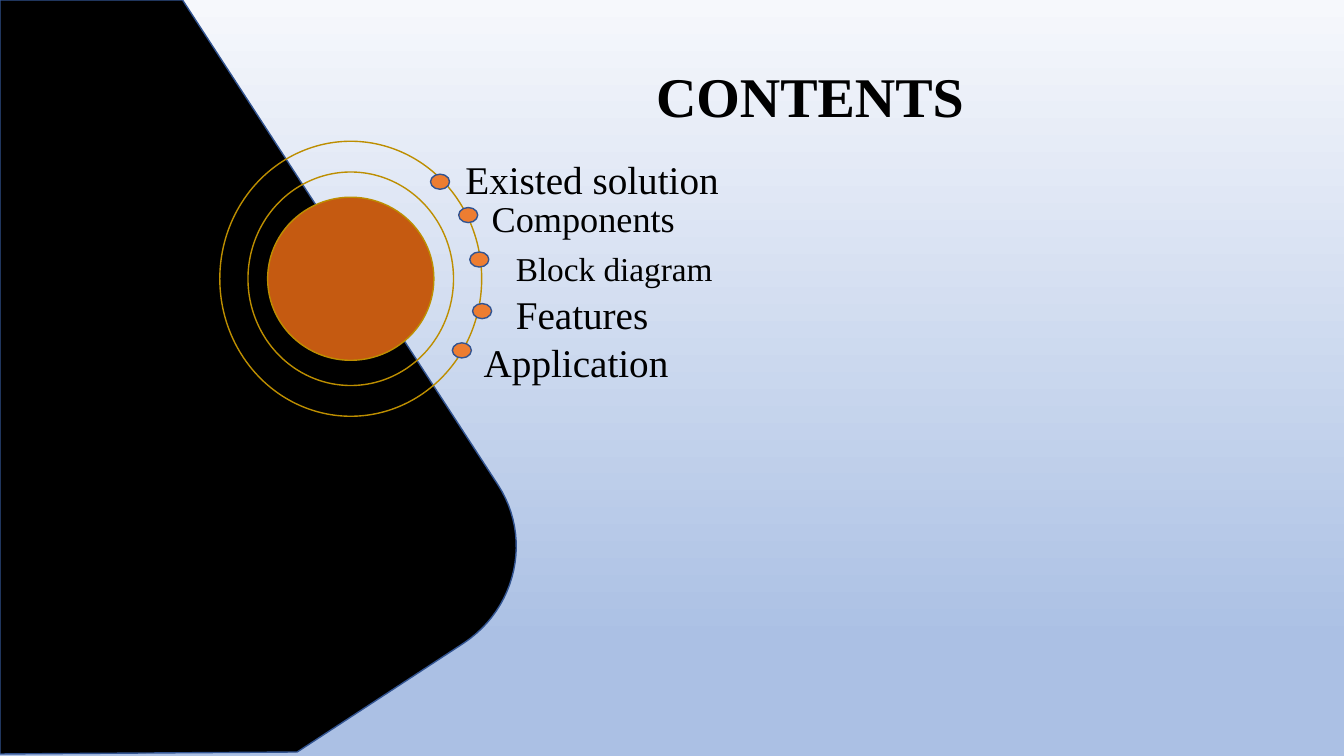
from pptx import Presentation
from pptx.dml.color import RGBColor
from pptx.enum.shapes import MSO_SHAPE
from pptx.enum.text import MSO_ANCHOR, PP_ALIGN
from pptx.util import Cm, Pt

FONT = "Times New Roman"
COLORS = {
    "sky_top": "F6F8FC",
    "sky_bottom": "ABC0E4",
    "ink": "000000",
    "core": "C55A11",
    "ring": "BD8E00",
    "dot": "ED7D31",
    "edge": "325491",
}
RINGS = [(4.19, 4.11, "core"), (5.18, 5.38, None), (6.6, 6.93, None)]
DOT_WIDTH, DOT_HEIGHT = 0.48, 0.38
LABEL_HEIGHT = 1.22
TOPICS = [
    ("Existed solution", 28, (5.31, 0.83), (5.94, 0.95), 7.06),
    ("Components", 25.9, (6.02, 1.67), (6.6, 1.93), 7.06),
    ("Block diagram", 23.8, (6.3, 2.79), (7.21, 3.19), 7.52),
    ("Features", 28, (6.37, 4.09), (7.21, 4.35), 7.06),
    ("Application", 28, (5.86, 5.08), (6.4, 5.56), 5.87),
]
PANEL_EDGE = [(0, 0), (0, 19), (7.49, 18.95)]
PANEL_CURVE = [(11.68, 16.21), (13.03, 15.32), (13.41, 13.54), (12.55, 12.22)]
PANEL_START = (4.6, 0)
CURVE_STEPS = 24


def rgb(name):
    return RGBColor.from_string(COLORS[name])


def paint(shape, fill, line):
    shape.shadow.inherit = False
    if fill:
        shape.fill.solid()
        shape.fill.fore_color.rgb = rgb(fill)
    else:
        shape.fill.background()
    shape.line.color.rgb = rgb(line)
    shape.line.width = Pt(1)


def write(frame, text, size, bold=False):
    frame.word_wrap = True
    frame.vertical_anchor = MSO_ANCHOR.MIDDLE
    frame.text = text
    paragraph = frame.paragraphs[0]
    paragraph.alignment = PP_ALIGN.LEFT
    font = paragraph.runs[0].font
    font.name, font.size, font.bold = FONT, Pt(size), bold
    font.color.rgb = rgb("ink")


def add_circle(slide, left, top, width, height, fill, line):
    circle = slide.shapes.add_shape(
        MSO_SHAPE.FLOWCHART_CONNECTOR, Cm(left), Cm(top), Cm(width), Cm(height))
    paint(circle, fill, line)


def bezier(controls, t):
    weights = ((1 - t) ** 3, 3 * t * (1 - t) ** 2, 3 * t ** 2 * (1 - t), t ** 3)
    return tuple(sum(w * c[axis] for w, c in zip(weights, controls)) for axis in (0, 1))


def add_background(slide):
    fill = slide.background.fill
    fill.gradient()
    fill.gradient_angle = 270
    for stop, (name, position) in zip(
            fill.gradient_stops, [("sky_top", 0), ("sky_bottom", 0.85)]):
        stop.color.rgb = rgb(name)
        stop.position = position


def add_panel(slide, left, top):
    def place(point):
        return Cm(left + point[0]), Cm(top + point[1])

    corner = [bezier(PANEL_CURVE, step / CURVE_STEPS) for step in range(CURVE_STEPS + 1)]
    builder = slide.shapes.build_freeform(*place(PANEL_START), scale=1.0)
    builder.add_line_segments([place(point) for point in PANEL_EDGE + corner], close=True)
    paint(builder.convert_to_shape(), "ink", "edge")


def add_rings(slide, left, top, width, height):
    for ring_width, ring_height, fill in RINGS:
        add_circle(slide, left + (width - ring_width) / 2, top + (height - ring_height) / 2,
                   ring_width, ring_height, fill, "ring")


def add_title(slide, left, top, width, height):
    title = slide.shapes.title
    title.left, title.top, title.width, title.height = map(Cm, (left, top, width, height))
    write(title.text_frame, "CONTENTS", 40, bold=True)
    title.text_frame.paragraphs[0].line_spacing = 0.9


def add_topics(slide, left, top):
    for text, size, (dot_x, dot_y), (label_x, label_middle), label_width in TOPICS:
        add_circle(slide, left + dot_x, top + dot_y, DOT_WIDTH, DOT_HEIGHT, "dot", "edge")
        label = slide.shapes.add_textbox(
            Cm(left + label_x), Cm(top + label_middle - LABEL_HEIGHT / 2),
            Cm(label_width), Cm(LABEL_HEIGHT))
        write(label.text_frame, text, size)


def main():
    deck = Presentation()
    deck.slide_width, deck.slide_height = Cm(33.87), Cm(19.05)
    slide = deck.slides.add_slide(deck.slide_layouts[5])
    add_background(slide)
    add_panel(slide, 0, 0)
    add_rings(slide, 5.54, 3.56, 6.6, 6.93)
    add_title(slide, 16.28, 0.66, 21.31, 3.68)
    add_topics(slide, 5.54, 3.56)
    deck.save("out.pptx")


if __name__ == "__main__":
    main()
